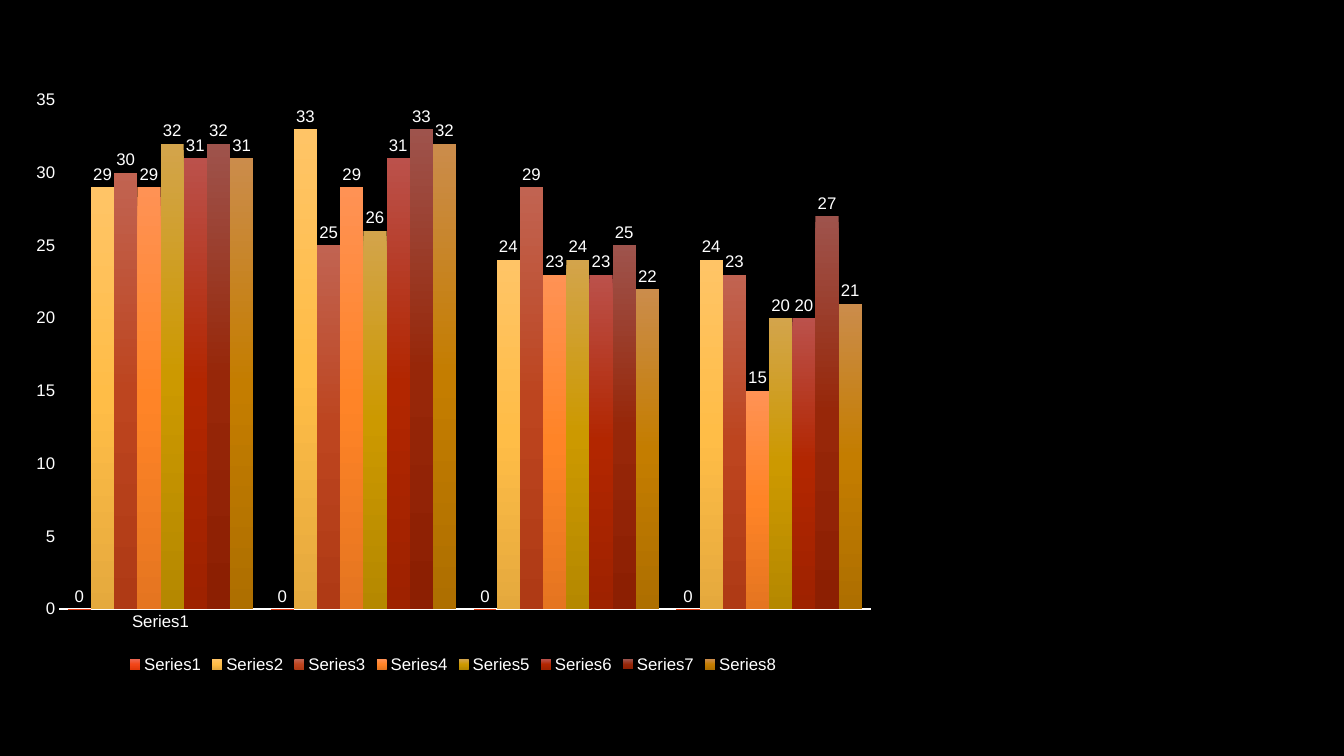
from copy import deepcopy

from lxml import etree
from pptx import Presentation, util as u
from pptx.chart.data import CategoryChartData
from pptx.dml.color import RGBColor
from pptx.enum import chart as ch
from pptx.oxml.ns import qn

HUES = {"back": "000000", "text": "FFFFFF"}
# Top, middle and bottom hue of each series, then its values
BARS = [
    (("ED6650", "F24618", "E2380A"), (0, 0, 0, 0)),
    (("FFC466", "FFBD47", "E5A93D"), (29, 33, 24, 24)),
    (("C16351", "BD451F", "AF3A15"), (30, 25, 29, 23)),
    (("FF9254", "FF8427", "E57520"), (29, 29, 23, 15)),
    (("D3A44B", "CC9900", "B58800"), (32, 26, 24, 20)),
    (("BB514B", "B22600", "9E2200"), (31, 31, 23, 20)),
    (("9E534C", "972709", "8C1F02"), (32, 33, 25, 27)),
    (("CB8C4B", "C47D00", "AE6F00"), (31, 32, 22, 21)),
]


def style(font):
    font.name = "Arial"
    font.size = u.Pt(12)
    font.color.rgb = RGBColor.from_string(HUES["text"])


# Slide
deck = Presentation()
deck.slide_width, deck.slide_height = u.Cm(33.87), u.Cm(19.05)
slide = deck.slides.add_slide(deck.slide_layouts[6])
back = slide.background.fill
back.solid()
back.fore_color.rgb = RGBColor.from_string(HUES["back"])

# Chart
data = CategoryChartData()
data.categories = ["Series1", "", "", ""]
for num, (hues, vals) in enumerate(BARS, 1):
    data.add_series(f"Series{num}", vals)
chart = slide.shapes.add_chart(
    ch.XL_CHART_TYPE.COLUMN_CLUSTERED,
    u.Cm(0.46), u.Cm(2.01), u.Cm(21.92), u.Cm(15.06), data).chart
chart.has_title = False
style(chart.font)

# Legend
chart.has_legend = True
chart.legend.position = ch.XL_LEGEND_POSITION.BOTTOM
chart.legend.include_in_layout = False
style(chart.legend.font)

# Axes
for axis in (chart.category_axis, chart.value_axis):
    axis.has_major_gridlines = False
    axis.major_tick_mark = axis.minor_tick_mark = ch.XL_TICK_MARK.NONE
    style(axis.tick_labels.font)
base = chart.category_axis.format.line
base.width = u.Pt(1)
base.color.rgb = RGBColor.from_string(HUES["text"])
scale = chart.value_axis
scale.minimum_scale, scale.maximum_scale, scale.major_unit = 0, 35, 5
scale.format.line.fill.background()

# Columns with their three-step gradients and labels
plot = chart.plots[0]
plot.gap_width, plot.overlap = 75, 0
plot.vary_by_categories = False
for bar, (hues, vals) in zip(plot.series, BARS):
    fill = bar.format.fill
    fill.gradient()
    fill.gradient_angle = 270
    steps = bar._element.find(f".//{qn('a:gsLst')}")
    steps.insert(1, deepcopy(steps[0]))
    for stop, hue, place in zip(fill.gradient_stops, hues, (0, 0.5, 1)):
        stop.color.rgb = RGBColor.from_string(hue)
        stop.position = place
    bar.invert_if_negative = False
    tags = bar.data_labels
    tags.show_value = True
    tags.position = ch.XL_LABEL_POSITION.OUTSIDE_END
    style(tags.font)

# Plot area inside the chart frame
area = chart._chartSpace.find(f".//{qn('c:plotArea')}")
for old in area.findall(qn("c:layout")):
    area.remove(old)
frame = etree.Element(qn("c:layout"))
area.insert(0, frame)
inner = etree.SubElement(frame, qn("c:manualLayout"))
for tag, val in (("layoutTarget", "inner"), ("xMode", "edge"), ("yMode", "edge"),
                 ("x", "0.047"), ("y", "0.034"), ("w", "0.933"), ("h", "0.852")):
    etree.SubElement(inner, qn(f"c:{tag}")).set("val", val)

deck.save("out.pptx")
